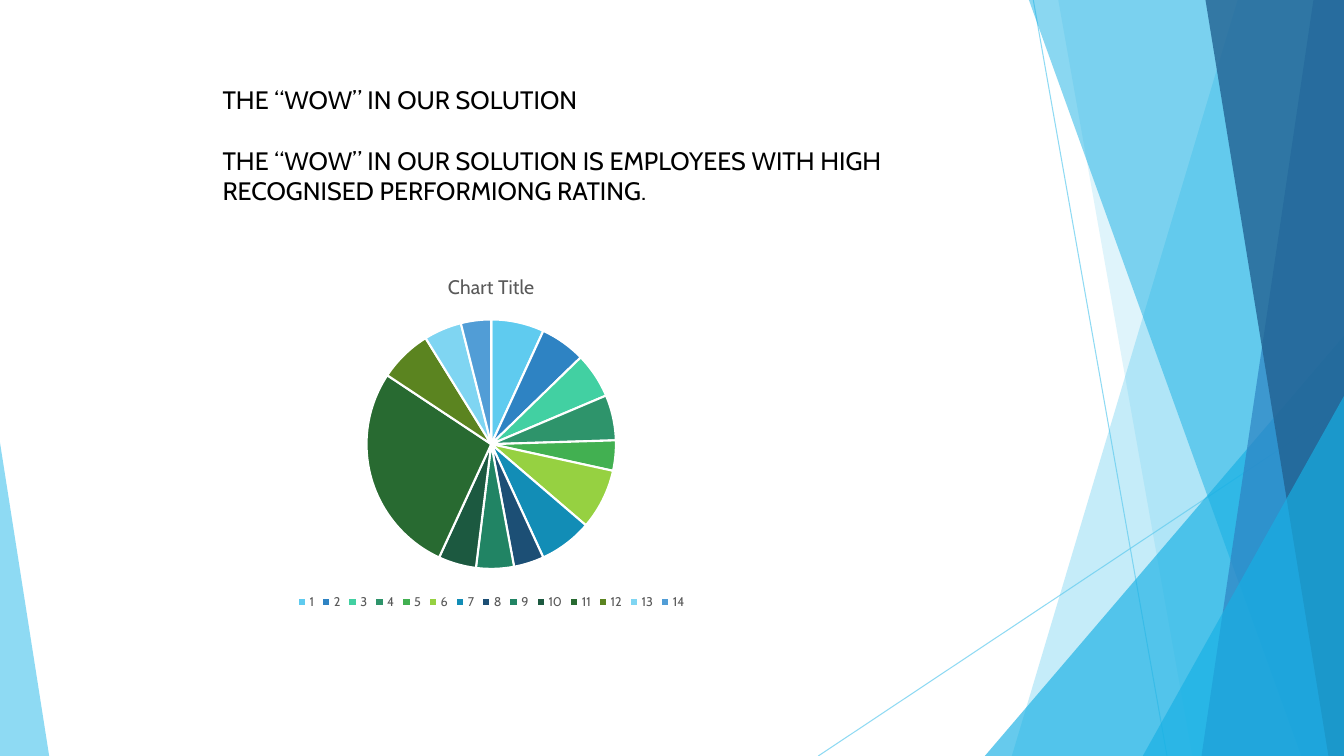
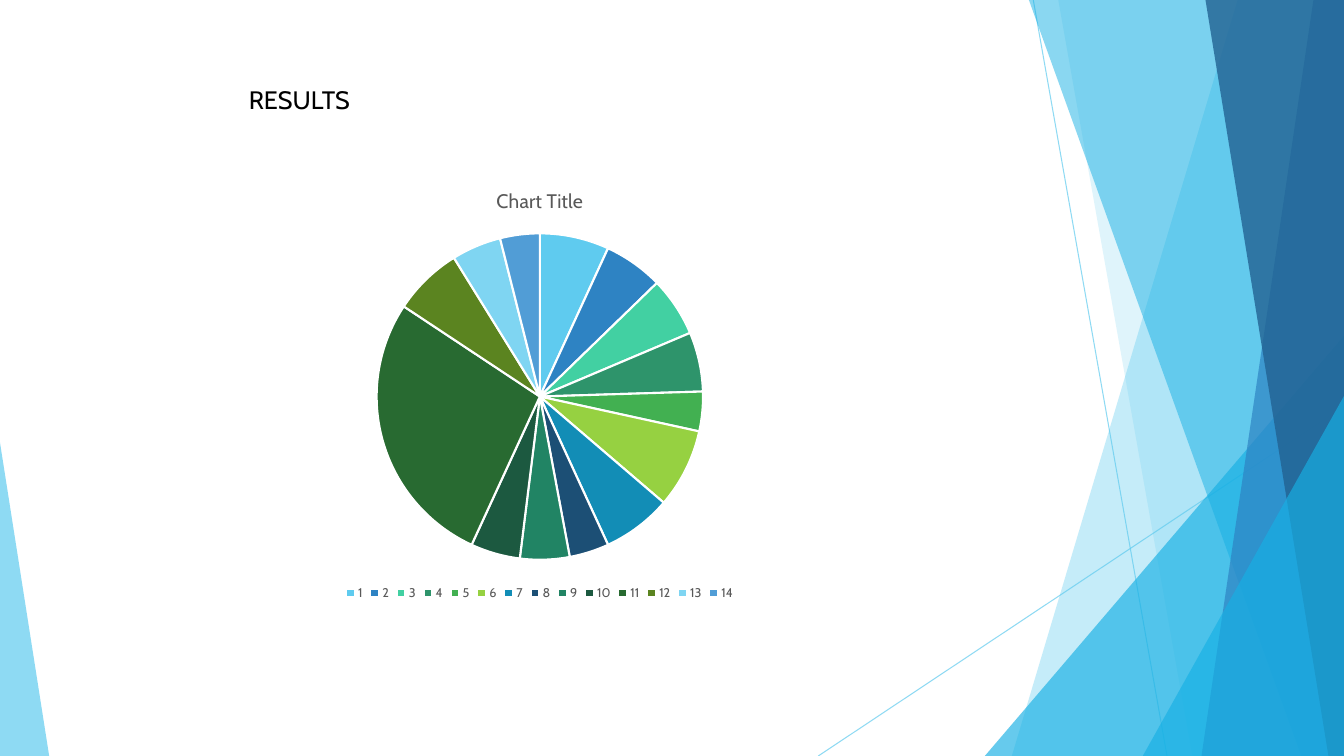
from dataclasses import dataclass

from lxml.etree import SubElement
from pptx import Presentation
from pptx.chart.data import CategoryChartData as ChartData
from pptx.dml.color import RGBColor
from pptx.enum.chart import XL_CHART_TYPE as ChartType, XL_LEGEND_POSITION as LegendPosition
from pptx.enum.shapes import MSO_CONNECTOR as Connector, MSO_SHAPE as Shape
from pptx.oxml.ns import qn
from pptx.util import Cm, Pt

WIDTH, HEIGHT = 33.87, 19.05
RATINGS = (7, 6, 6, 6, 4, 8, 7, 4, 5, 5, 28, 7, 5, 4)


@dataclass(frozen=True)
class Theme:
    font: str = "Cabin"
    black: str = "000000"
    white: str = "FFFFFF"
    grey: str = "595959"
    sky: str = "5FCBEF"
    azure: str = "17B0E4"
    blue: str = "2E83C3"
    navy: str = "226292"
    slices: tuple = ("5FCBEF", "2E83C3", "42D0A2", "2E946B", "42B051", "96D141", "128DB6",
                     "1C4F75", "218464", "1C5940", "286A31", "5B8420", "7FD5F2", "519DD6")
    body_size: float = 18
    paragraph_gap: float = 21.7
    chart_title_size: float = 14
    chart_size: float = 10
    legend_size: float = 9


def style_font(font, theme, size, color):
    font.name = theme.font
    font.size = Pt(size)
    font.bold = False
    font.color.rgb = RGBColor.from_string(color)


def write_text(para, text, *, theme, size, color, before=0):
    para.space_before = Pt(before)
    span = para.add_run()
    span.text = text
    style_font(span.font, theme, size, color)


def set_paint(fill_format, color, opacity=100):
    fill_format.solid()
    fill_format.fore_color.rgb = RGBColor.from_string(color)
    if opacity < 100:
        color_node = fill_format.fore_color._xFill.find(qn("a:srgbClr"))
        SubElement(color_node, qn("a:alpha")).set("val", str(opacity * 1000))


class Slides:
    def __init__(self, theme):
        self.theme = theme
        self.deck = Presentation()
        self.deck.slide_width, self.deck.slide_height = Cm(WIDTH), Cm(HEIGHT)
        self.page = None

    def add_page(self):
        self.page = self.deck.slides.add_slide(self.deck.slide_layouts[6])
        set_paint(self.page.background.fill, self.theme.white)
        self.add_facets()

    def add_facets(self):
        theme = self.theme
        self.add_line(26.04, 0, 29.41, HEIGHT)
        self.add_line(WIDTH, 10.24, 20.62, HEIGHT)
        self.add_band(31.19, 25.5, theme.sky, 36)
        self.add_band(26.67, 30.05, theme.sky, 20)
        self.add_triangle(24.82, 8.46, WIDTH, 1, theme.azure, 66)
        self.add_band(25.93, 32.79, theme.azure, 50)
        self.add_band(33.1, 30.28, theme.blue, 70)
        self.add_band(30.38, 33.48, theme.navy, 80)
        self.add_triangle(28.8, 9.98, WIDTH, 1, theme.azure, 66)
        self.add_triangle(0, 11.15, 1.24, 0, theme.sky, 70)

    def add_line(self, start_x, start_y, end_x, end_y):
        line = self.page.shapes.add_connector(
            Connector.STRAIGHT, Cm(start_x), Cm(start_y), Cm(end_x), Cm(end_y))
        line.line.width = Pt(0.75)
        set_paint(line.line.fill, self.theme.sky, 70)
        SubElement(line._element.spPr, qn("a:effectLst"))

    def finish_shape(self, shape, color, opacity):
        shape.shadow.inherit = False
        shape.line.fill.background()
        set_paint(shape.fill, color, opacity)

    def add_band(self, top_x, bottom_x, color, opacity):
        outline = self.page.shapes.build_freeform(Cm(top_x), 0)
        corners = ((WIDTH, 0), (WIDTH, HEIGHT), (bottom_x, HEIGHT))
        outline.add_line_segments([(Cm(x), Cm(y)) for x, y in corners], close=True)
        self.finish_shape(outline.convert_to_shape(), color, opacity)

    def add_triangle(self, left, top, right, apex, color, opacity):
        triangle = self.page.shapes.add_shape(
            Shape.ISOSCELES_TRIANGLE, Cm(left), Cm(top), Cm(right - left), Cm(HEIGHT - top))
        triangle.adjustments[0] = apex
        self.finish_shape(triangle, color, opacity)

    def add_text(self, left, top, width, height, paragraphs):
        box = self.page.shapes.add_textbox(Cm(left), Cm(top), Cm(width), Cm(height))
        frame = box.text_frame
        frame.word_wrap = True
        for index, text in enumerate(paragraphs):
            para = frame.add_paragraph() if index else frame.paragraphs[0]
            write_text(para, text, theme=self.theme, size=self.theme.body_size,
                       color=self.theme.black,
                       before=self.theme.paragraph_gap if index else 0)

    def add_pie(self, left, top, width, height, title, values):
        theme = self.theme
        data = ChartData()
        data.categories = [str(number) for number in range(1, len(values) + 1)]
        data.add_series("Series 1", values)
        chart = self.page.shapes.add_chart(
            ChartType.PIE, Cm(left), Cm(top), Cm(width), Cm(height), data).chart
        style_font(chart.font, theme, theme.chart_size, theme.black)
        chart.has_title = True
        write_text(chart.chart_title.text_frame.paragraphs[0], title, theme=theme,
                   size=theme.chart_title_size, color=theme.grey)
        chart.has_legend = True
        chart.legend.position = LegendPosition.BOTTOM
        chart.legend.include_in_layout = False
        style_font(chart.legend.font, theme, theme.legend_size, theme.grey)
        plot = chart.plots[0]
        plot.vary_by_categories = True
        for index, color in enumerate(theme.slices):
            piece = plot.series[0].points[index].format
            set_paint(piece.fill, color)
            piece.line.width = Pt(1.5)
            set_paint(piece.line.fill, theme.white)


def main():
    slides = Slides(Theme())

    slides.add_page()
    slides.add_text(5.36, 2.01, 17.42, 3.33, (
        "THE “WOW” IN OUR SOLUTION",
        "THE “WOW” IN OUR SOLUTION IS EMPLOYEES WITH HIGH RECOGNISED PERFORMIONG RATING."))
    slides.add_pie(4.39, 6.48, 15.98, 8.99, "Chart Title", RATINGS)

    slides.add_page()
    slides.add_text(6.02, 2.01, 11.46, 1.02, ("RESULTS",))
    slides.add_pie(5.26, 4.27, 16.69, 10.97, "Chart Title", RATINGS)

    slides.deck.save("out.pptx")


if __name__ == "__main__":
    main()
